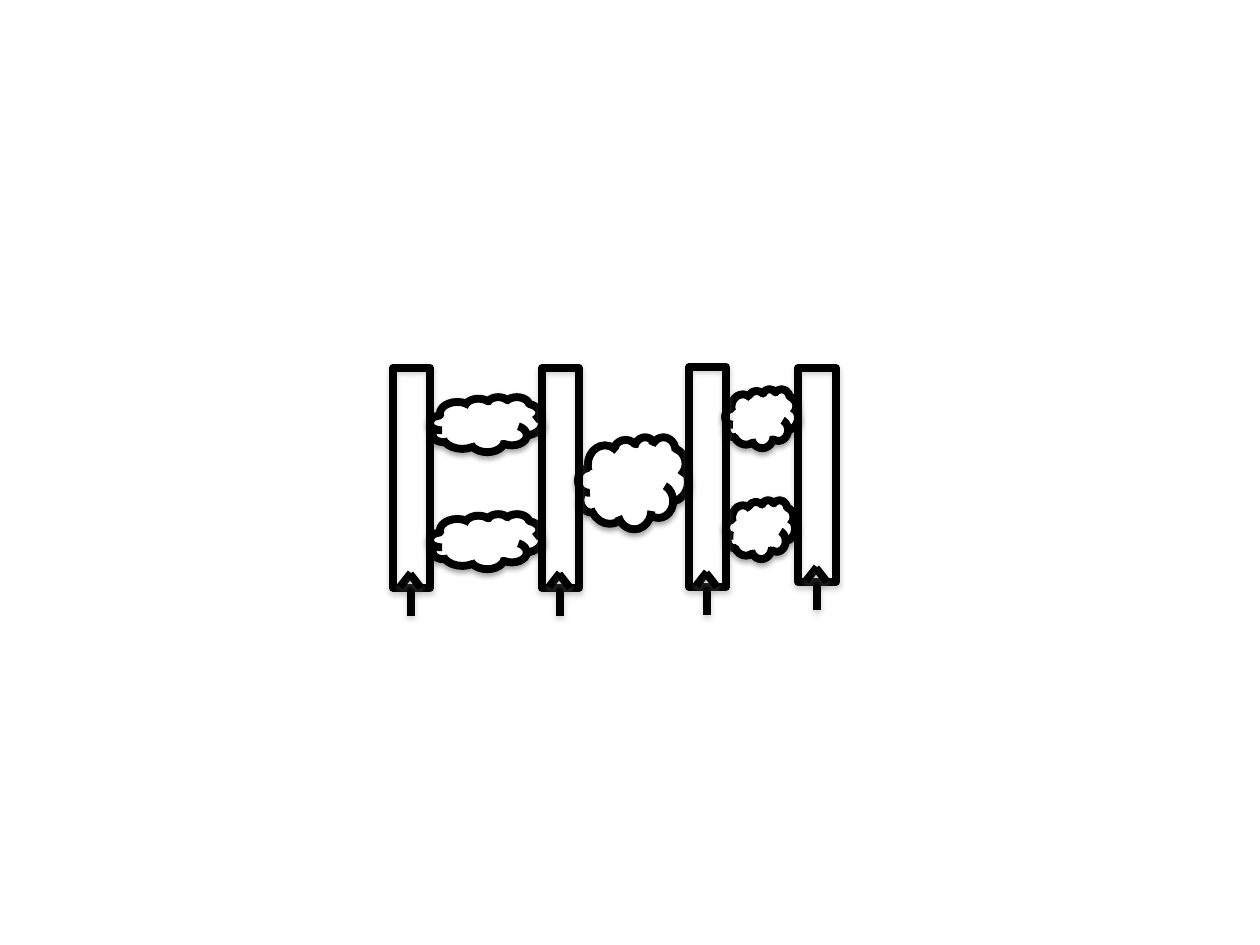
from lxml.etree import SubElement
from pptx import Presentation
from pptx.dml.color import RGBColor
from pptx.enum.shapes import MSO_CONNECTOR, MSO_SHAPE
from pptx.oxml.ns import qn
from pptx.util import Inches, Pt

BLACK = RGBColor(0, 0, 0)
GRAY = RGBColor(128, 128, 128)
WHITE = RGBColor(255, 255, 255)
PIXELS_PER_INCH = 126

OUTER_REGISTERS = [(393, 368, 37, 220), (798, 368, 38, 214)]
INNER_REGISTERS = [(542, 368, 37, 220), (689, 367, 37, 220)]
LOGIC_CLOUDS = [
    (430, 397, 112, 55),
    (430, 514, 112, 55),
    (578, 437, 110, 92),
    (725, 389, 73, 59),
    (726, 500, 69, 59),
]


def px(length):
    return Inches(length / PIXELS_PER_INCH)


def style_outline(shape, shadow_color):
    shape.line.color.rgb = BLACK
    shape.line.width = Pt(4.5)
    effects = SubElement(shape._element.spPr, qn("a:effectLst"))
    shadow = SubElement(
        effects, qn("a:outerShdw"),
        blurRad=str(Pt(3.1)), dist=str(Pt(1.8)), dir="5400000", rotWithShape="0",
    )
    color = SubElement(shadow, qn("a:srgbClr"), val=str(shadow_color))
    SubElement(color, qn("a:alpha"), val="35000")


def add_line(slide, *ends):
    line = slide.shapes.add_connector(MSO_CONNECTOR.STRAIGHT, *map(px, ends))
    style_outline(line, GRAY)


def add_cloud(slide, box):
    cloud = slide.shapes.add_shape(MSO_SHAPE.CLOUD, *map(px, box))
    cloud.fill.solid()
    cloud.fill.fore_color.rgb = WHITE
    style_outline(cloud, BLACK)


def add_register(slide, box):
    left, top, width, height = box
    register = slide.shapes.add_shape(MSO_SHAPE.RECTANGLE, *map(px, box))
    register.fill.background()
    style_outline(register, GRAY)

    center, bottom = left + width // 2, top + height
    add_line(slide, center, bottom + 28, center, bottom)
    add_line(slide, center - 11, bottom - 1, center, bottom - 15)
    add_line(slide, center + 10, bottom, center - 1, bottom - 14)


def main():
    presentation = Presentation()
    presentation.slide_width = Inches(10)
    presentation.slide_height = Inches(7.5)
    slide = presentation.slides.add_slide(presentation.slide_layouts[6])
    for box in OUTER_REGISTERS:
        add_register(slide, box)
    for box in LOGIC_CLOUDS:
        add_cloud(slide, box)
    for box in INNER_REGISTERS:
        add_register(slide, box)
    presentation.save("out.pptx")


if __name__ == "__main__":
    main()
